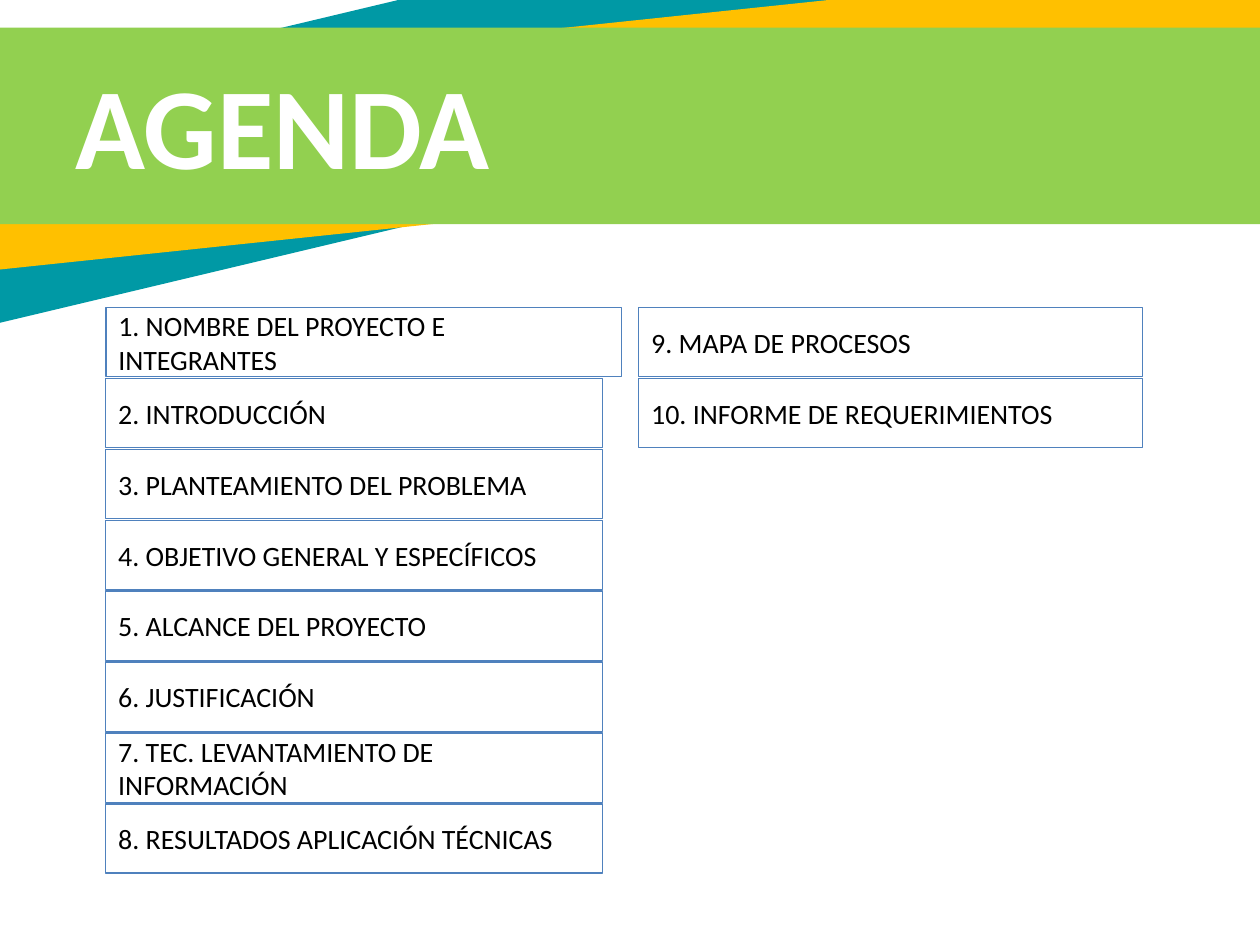
from pptx import Presentation
from pptx.dml.color import RGBColor
from pptx.enum.shapes import MSO_SHAPE
from pptx.enum.text import MSO_ANCHOR, PP_ALIGN
from pptx.util import Inches, Pt

BANDS = [
    (-2.51, -0.18, 13.06, 1.76, 346.6, "0099A5"),
    (-1.1, 0.2, 11.63, 1.44, 354, "FFC000"),
    (-1.06, 0.22, 11.63, 1.56, 0, "92D050"),
]
LEFT_TOPICS = [
    "NOMBRE DEL PROYECTO E INTEGRANTES",
    "INTRODUCCIÓN",
    "PLANTEAMIENTO DEL PROBLEMA",
    "OBJETIVO GENERAL Y ESPECÍFICOS",
    "ALCANCE DEL PROYECTO",
    "JUSTIFICACIÓN",
    "TEC. LEVANTAMIENTO DE INFORMACIÓN",
    "RESULTADOS APLICACIÓN TÉCNICAS",
]
RIGHT_TOPICS = ["MAPA DE PROCESOS", "INFORME DE REQUERIMIENTOS"]
TOPIC_TOP, TOPIC_HEIGHT = 2.44, 0.55
TOPIC_PITCH = (6.38 - TOPIC_TOP) / (len(LEFT_TOPICS) - 1)


def color(value):
    return RGBColor.from_string(value)


class AgendaSlide:
    """Draws the agenda elements on one slide in a shared style."""

    font = "Calibri"
    outline = "4F81BD"

    def __init__(self, prs):
        self.s = prs.slides.add_slide(prs.slide_layouts[6])

    def rectangle(self, *box):
        sp = self.s.shapes.add_shape(MSO_SHAPE.RECTANGLE, *map(Inches, box))
        sp.shadow.inherit = False
        return sp

    def set_text(self, sp, text, size, fill, bold=False):
        tf = sp.text_frame
        tf.word_wrap = True
        tf.vertical_anchor = MSO_ANCHOR.MIDDLE
        p = tf.paragraphs[0]
        p.text = text
        p.alignment = PP_ALIGN.LEFT
        p.font.name = self.font
        p.font.size = Pt(size)
        p.font.bold = bold
        p.font.color.rgb = color(fill)

    def band(self, left, top, width, height, angle, fill):
        sp = self.rectangle(left, top, width, height)
        sp.rotation = angle
        sp.fill.solid()
        sp.fill.fore_color.rgb = color(fill)
        sp.line.fill.background()

    def title(self, text, *box):
        sp = self.s.shapes.add_textbox(*map(Inches, box))
        self.set_text(sp, text, 66, "FFFFFF", bold=True)

    def topic(self, text, left, top, width):
        sp = self.rectangle(left, top, width, TOPIC_HEIGHT)
        sp.fill.background()
        sp.line.color.rgb = color(self.outline)
        sp.line.width = Pt(0.75)
        self.set_text(sp, text, 16, "000000")

    def topics(self, names, first, left, widths):
        for row, (name, width) in enumerate(zip(names, widths)):
            top = TOPIC_TOP + row * TOPIC_PITCH
            self.topic(f"{first + row}. {name}", left, top, width)


def main():
    prs = Presentation()
    prs.slide_width, prs.slide_height = Inches(10), Inches(7.5)
    agenda = AgendaSlide(prs)
    for band in BANDS:
        agenda.band(*band)
    agenda.title("AGENDA", 0.5, 0.49, 6.58, 0.97)
    agenda.topics(LEFT_TOPICS, 1, 0.84, [4.09] + [3.94] * 7)
    agenda.topics(RIGHT_TOPICS, len(LEFT_TOPICS) + 1, 5.07, [4, 4])
    prs.save("out.pptx")


if __name__ == "__main__":
    main()
